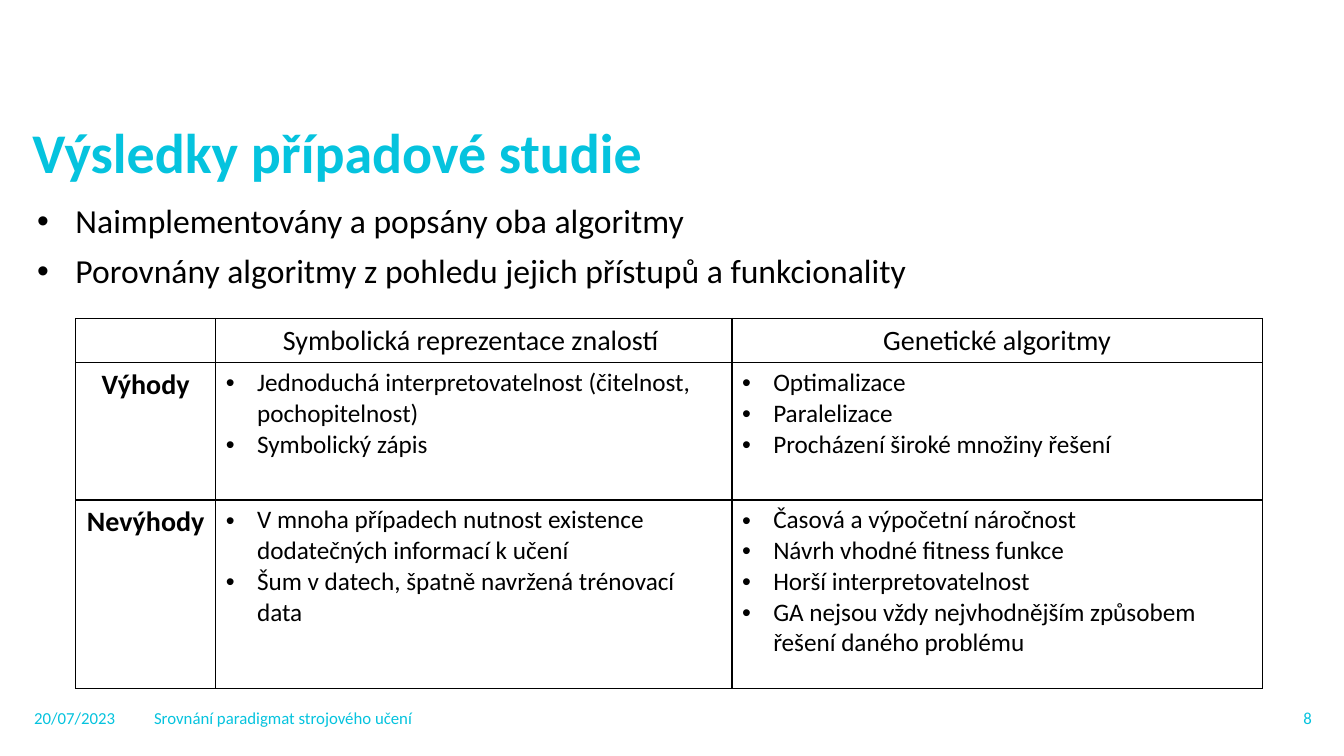
from dataclasses import dataclass

from lxml.etree import SubElement
from pptx import Presentation
from pptx.dml.color import RGBColor
from pptx.enum.text import MSO_ANCHOR, MSO_AUTO_SIZE, PP_ALIGN
from pptx.oxml import parse_xml
from pptx.oxml.ns import nsdecls, qn
from pptx.util import Inches, Pt

CYAN = RGBColor(0x05, 0xC3, 0xDE)
BLACK = RGBColor(0x00, 0x00, 0x00)
FONT = "Calibri"


@dataclass(frozen=True)
class Style:
    size: int
    color: RGBColor = BLACK
    bold: bool = False
    align: PP_ALIGN = PP_ALIGN.LEFT
    indent: float = 0  # hanging bullet indent in inches, 0 for no bullet
    line_spacing: float = 1.0
    space_before: int = 0


@dataclass(frozen=True)
class Footer:
    text: str
    left: float
    width: float
    align: PP_ALIGN = PP_ALIGN.LEFT


TITLE = Style(40, CYAN, bold=True, line_spacing=0.9)
BODY = Style(24, indent=0.38, line_spacing=0.9, space_before=10)
HEADER = Style(20, align=PP_ALIGN.CENTER)
ROW_LABEL = Style(20, bold=True, align=PP_ALIGN.CENTER)
CELL_LIST = Style(18, indent=0.31)

FOOTERS = [
    Footer("20/07/2023", 0.24, 1.04),
    Footer("Srovnání paradigmat strojového učení", 1.43, 11.1),
    Footer("8", 12.67, 0.44, PP_ALIGN.RIGHT),
]
POINTS = [
    "Naimplementovány a popsány oba algoritmy",
    "Porovnány algoritmy z pohledu jejich přístupů a funkcionality",
]
COLUMN_WIDTHS = [1.39, 5.12, 5.26]
ROW_HEIGHTS = [0.44, 1.36, 1.87]
COMPARISON = [
    [[], ["Symbolická reprezentace znalostí "], ["Genetické algoritmy"]],
    [
        ["Výhody"],
        ["Jednoduchá interpretovatelnost (čitelnost, pochopitelnost)",
         "Symbolický zápis"],
        ["Optimalizace", "Paralelizace", "Procházení široké množiny řešení"],
    ],
    [
        ["Nevýhody"],
        ["V mnoha případech nutnost existence dodatečných informací k učení",
         "Šum v datech, špatně navržená trénovací data"],
        ["Časová a výpočetní náročnost",
         "Návrh vhodné fitness funkce",
         "Horší interpretovatelnost",
         "GA nejsou vždy nejvhodnějším způsobem řešení daného problému"],
    ],
]


def write(tf, lines: list[str], style: Style) -> None:
    """Fill a text frame with one paragraph per line."""
    for i, line in enumerate(lines):
        p = tf.paragraphs[0] if i == 0 else tf.add_paragraph()
        p.alignment = style.align
        p.line_spacing = style.line_spacing
        p.space_before = Pt(style.space_before)
        if style.indent:
            pPr = p._p.get_or_add_pPr()
            pPr.set("marL", str(Inches(style.indent)))
            pPr.set("indent", str(-Inches(style.indent)))
            SubElement(pPr, qn("a:buFont")).set("typeface", "Arial")
            SubElement(pPr, qn("a:buChar")).set("char", "•")
        r = p.add_run()
        r.text = line
        r.font.name = FONT
        r.font.size = Pt(style.size)
        r.font.bold = style.bold
        r.font.color.rgb = style.color


def place(sp, left: float, top: float, width: float, height: float) -> None:
    sp.left, sp.top = Inches(left), Inches(top)
    sp.width, sp.height = Inches(width), Inches(height)


def add_text(s, box: tuple[float, float, float, float], lines: list[str],
             style: Style, anchor: MSO_ANCHOR = MSO_ANCHOR.TOP) -> None:
    tf = s.shapes.add_textbox(*map(Inches, box)).text_frame
    tf.word_wrap = True
    tf.vertical_anchor = anchor
    write(tf, lines, style)


def set_borders(cell) -> None:
    """Draw a black 1 pt line on all four sides of a cell."""
    tcPr = cell._tc.get_or_add_tcPr()
    for i, side in enumerate("LRTB"):
        tcPr.insert(i, parse_xml(
            f'<a:ln{side} {nsdecls("a")} w="{Pt(1)}"><a:solidFill>'
            f'<a:srgbClr val="{BLACK}"/></a:solidFill></a:ln{side}>'))


def cell_style(row: int, column: int) -> Style:
    if row == 0:
        return HEADER
    return ROW_LABEL if column == 0 else CELL_LIST


def add_comparison(s) -> None:
    table = s.shapes.add_table(
        len(ROW_HEIGHTS), len(COLUMN_WIDTHS), Inches(0.75), Inches(3.16),
        Inches(sum(COLUMN_WIDTHS)), Inches(sum(ROW_HEIGHTS))).table
    table.first_row = table.horz_banding = False
    for column, width in zip(table.columns, COLUMN_WIDTHS):
        column.width = Inches(width)
    for row, height in zip(table.rows, ROW_HEIGHTS):
        row.height = Inches(height)
    for i, row in enumerate(COMPARISON):
        for j, lines in enumerate(row):
            cell = table.cell(i, j)
            cell.fill.background()
            set_borders(cell)
            write(cell.text_frame, lines, cell_style(i, j))


def main() -> None:
    prs = Presentation()
    prs.slide_width, prs.slide_height = Inches(13.33), Inches(7.5)
    s = prs.slides.add_slide(prs.slide_layouts[5])

    # Title
    title = s.shapes.title
    place(title, 0.22, 1.19, 12.91, 0.79)
    tf = title.text_frame
    tf.auto_size = MSO_AUTO_SIZE.NONE
    tf.vertical_anchor = MSO_ANCHOR.TOP
    write(tf, ["Výsledky případové studie"], TITLE)

    # Main points and comparison table
    add_text(s, (0.27, 1.98, 12.81, 4.97), POINTS, BODY)
    add_comparison(s)

    # Footer
    for footer in FOOTERS:
        add_text(s, (footer.left, 6.95, footer.width, 0.34), [footer.text],
                 Style(12, CYAN, align=footer.align), MSO_ANCHOR.MIDDLE)

    prs.save("out.pptx")


if __name__ == "__main__":
    main()
